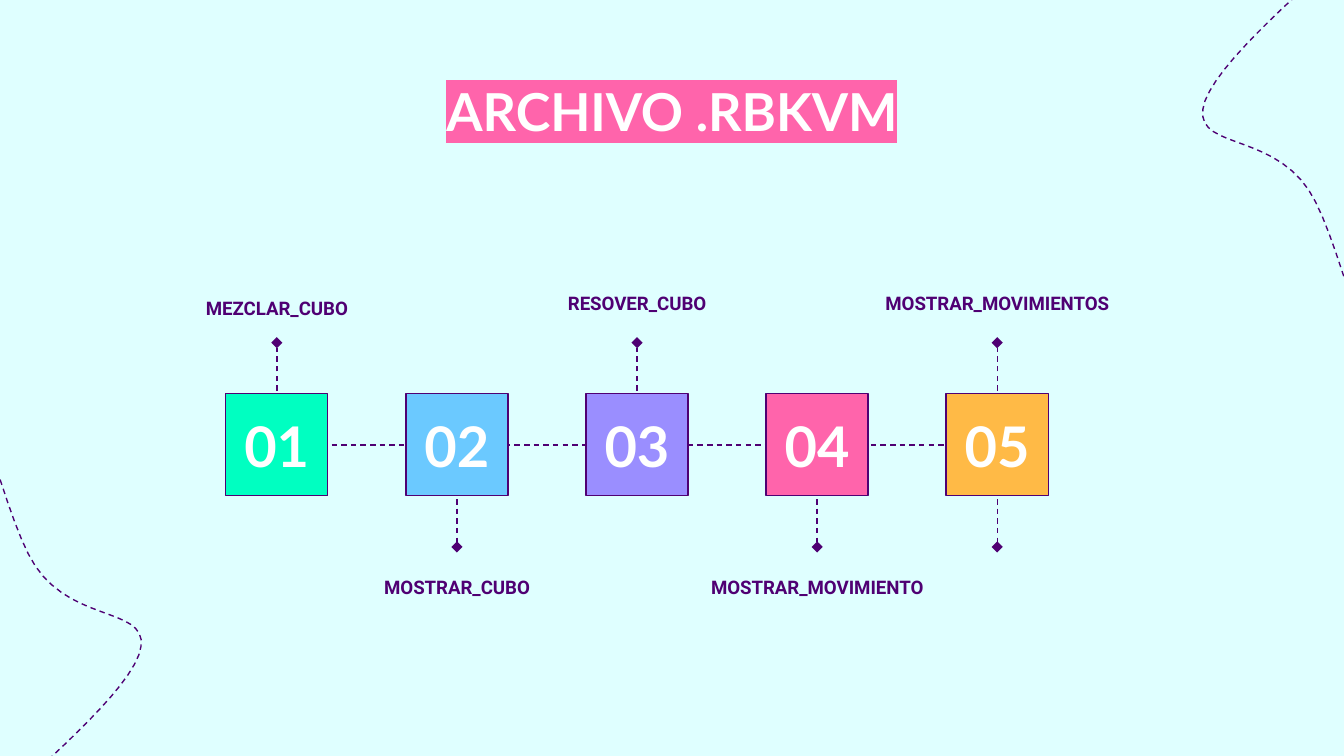
import pptx
import pptx.util
import pptx.dml.color
import pptx.enum.dml
import pptx.enum.shapes
import pptx.enum.text
import pptx.oxml
import pptx.oxml.ns
from pptx.util import Inches

COLORS = {
    "background": "DFFFFF",
    "ink": "4F0073",
    "white": "FFFFFF",
    "green": "00FFC1",
    "blue": "6BC9FF",
    "violet": "9A8EFF",
    "pink": "FF64AB",
    "orange": "FFBA46",
}
SLIDE_WIDTH = 10
SLIDE_HEIGHT = SLIDE_WIDTH * 9 / 16
SQUARE, PITCH = 0.76, 1.34
LABEL_WIDTH, LABEL_HEIGHT = 1.72, 0.35
STEPS = [
    ("MEZCLAR_CUBO", "green", -0.81, [-1]),
    ("MOSTRAR_CUBO", "blue", 1.26, [1]),
    ("RESOVER_CUBO", "violet", -0.85, [-1]),
    ("MOSTRAR_MOVIMIENTO", "pink", 1.26, [1]),
    ("MOSTRAR_MOVIMIENTOS", "orange", -0.85, [-1, 1]),
]
CURVE = [
    (0, 6), (0.17, 5.8), (1.01, 5.13), (1.05, 4.81), (1.09, 4.5),
    (0.47, 4.65), (0.21, 4.12), (-0.05, 3.6), (-0.4, 2.07), (-0.52, 1.66),
]


def rgb(name):
    return pptx.dml.color.RGBColor.from_string(COLORS[name])


def add_xml(parent, tag, attributes=""):
    namespace = pptx.oxml.ns.nsdecls("a")
    element = pptx.oxml.parse_xml(f"<a:{tag} {namespace} {attributes}/>")
    parent.append(element)
    return element


def style_line(line, dashed=True):
    line.color.rgb = rgb("ink")
    line.width = pptx.util.Pt(0.75)
    if dashed:
        line.dash_style = pptx.enum.dml.MSO_LINE.DASH


def write_text(shape, text, size, color, inset, anchor):
    frame = shape.text_frame
    frame.word_wrap = True
    frame.auto_size = pptx.enum.text.MSO_AUTO_SIZE.NONE
    frame.vertical_anchor = anchor
    frame.margin_left = frame.margin_right = Inches(inset)
    frame.margin_top = frame.margin_bottom = Inches(inset)
    paragraph = frame.paragraphs[0]
    paragraph.alignment = pptx.enum.text.PP_ALIGN.CENTER
    run = paragraph.add_run()
    run.text = text
    run.font.size = pptx.util.Pt(size)
    run.font.bold = True
    run.font.color.rgb = rgb(color)
    return run


def add_text(slide, box, text, font_name, size, color, inset):
    shape = slide.shapes.add_textbox(*map(Inches, box))
    middle = pptx.enum.text.MSO_ANCHOR.MIDDLE
    run = write_text(shape, text, size, color, inset, middle)
    run.font.name = font_name


def add_dashed_line(slide, start, end, diamond=False):
    straight = pptx.enum.shapes.MSO_CONNECTOR.STRAIGHT
    connector = slide.shapes.add_connector(straight, *map(Inches, (*start, *end)))
    style_line(connector.line)
    if diamond:
        add_xml(connector.line._get_or_add_ln(), "tailEnd", 'type="diamond"')
    add_xml(connector._element.spPr, "effectLst")


def bezier_points(controls, steps=16):
    points = [controls[0]]
    for first in range(0, len(controls) - 1, 3):
        segment = controls[first:first + 4]
        for step in range(1, steps + 1):
            t = step / steps
            weights = ((1 - t) ** 3, 3 * t * (1 - t) ** 2, 3 * t * t * (1 - t), t ** 3)
            points.append(tuple(
                sum(weight * point[axis] for weight, point in zip(weights, segment))
                for axis in (0, 1)
            ))
    return points


def add_curve(slide, controls):
    points = [(Inches(x), Inches(y)) for x, y in bezier_points(controls)]
    builder = slide.shapes.build_freeform(*points[0])
    builder.add_line_segments(points[1:], close=False)
    shape = builder.convert_to_shape()
    shape.fill.background()
    shape.shadow.inherit = False
    style_line(shape.line)


def add_background(slide):
    fill = slide.background.fill
    fill.solid()
    fill.fore_color.rgb = rgb("background")
    add_curve(slide, CURVE)
    add_curve(slide, [(SLIDE_WIDTH - x, SLIDE_HEIGHT - y) for x, y in CURVE])


def add_title(slide, box):
    title = slide.shapes.title
    title.left, title.top, title.width, title.height = map(Inches, box)
    top = pptx.enum.text.MSO_ANCHOR.TOP
    run = write_text(title, "ARCHIVO .RBKVM", 28, "white", 0.1, top)
    highlight = add_xml(run.font._element, "highlight")
    add_xml(highlight, "srgbClr", f'val="{COLORS["pink"]}"')
    run.font.name = "Lato"


def add_step(slide, left, top, number, label, color, label_offset, directions):
    center_x, center_y = left + SQUARE / 2, top + SQUARE / 2
    for direction in directions:
        start = (center_x, center_y + direction * 0.26)
        end = (center_x, center_y + direction * 0.76)
        add_dashed_line(slide, start, end, diamond=True)
    rectangle = pptx.enum.shapes.MSO_SHAPE.RECTANGLE
    square = slide.shapes.add_shape(rectangle, *map(Inches, (left, top, SQUARE, SQUARE)))
    square.shadow.inherit = False
    square.fill.solid()
    square.fill.fore_color.rgb = rgb(color)
    style_line(square.line, dashed=False)
    number_box = (center_x - 0.4, center_y - 0.21, 0.8, 0.42)
    add_text(slide, number_box, f"{number:02}", "Lato", 30, "white", 0.1)
    label_box = (center_x - LABEL_WIDTH / 2, top + label_offset, LABEL_WIDTH, LABEL_HEIGHT)
    add_text(slide, label_box, label, "Roboto", 10, "ink", 0)


def add_timeline(slide, left, top):
    middle = top + SQUARE / 2
    add_dashed_line(slide, (left + 0.5, middle), (left + 6.12, middle))
    for index, step in enumerate(STEPS):
        add_step(slide, left + index * PITCH, top, index + 1, *step)


def main():
    presentation = pptx.Presentation()
    presentation.slide_width = Inches(SLIDE_WIDTH)
    presentation.slide_height = Inches(SLIDE_HEIGHT)
    slide = presentation.slides.add_slide(presentation.slide_layouts[5])
    add_background(slide)
    add_title(slide, (0.79, 0.49, 8.42, 0.63))
    add_timeline(slide, 1.68, 2.93)
    presentation.save("out.pptx")


if __name__ == "__main__":
    main()
